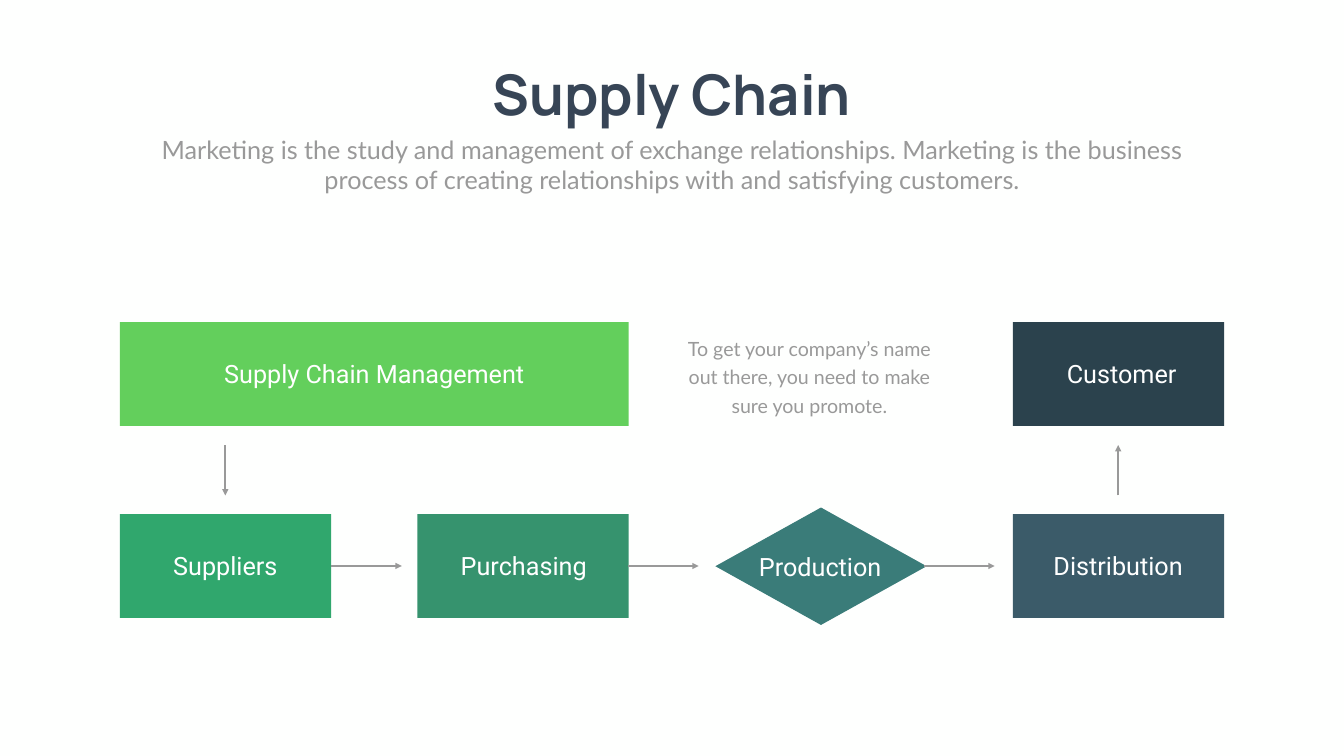
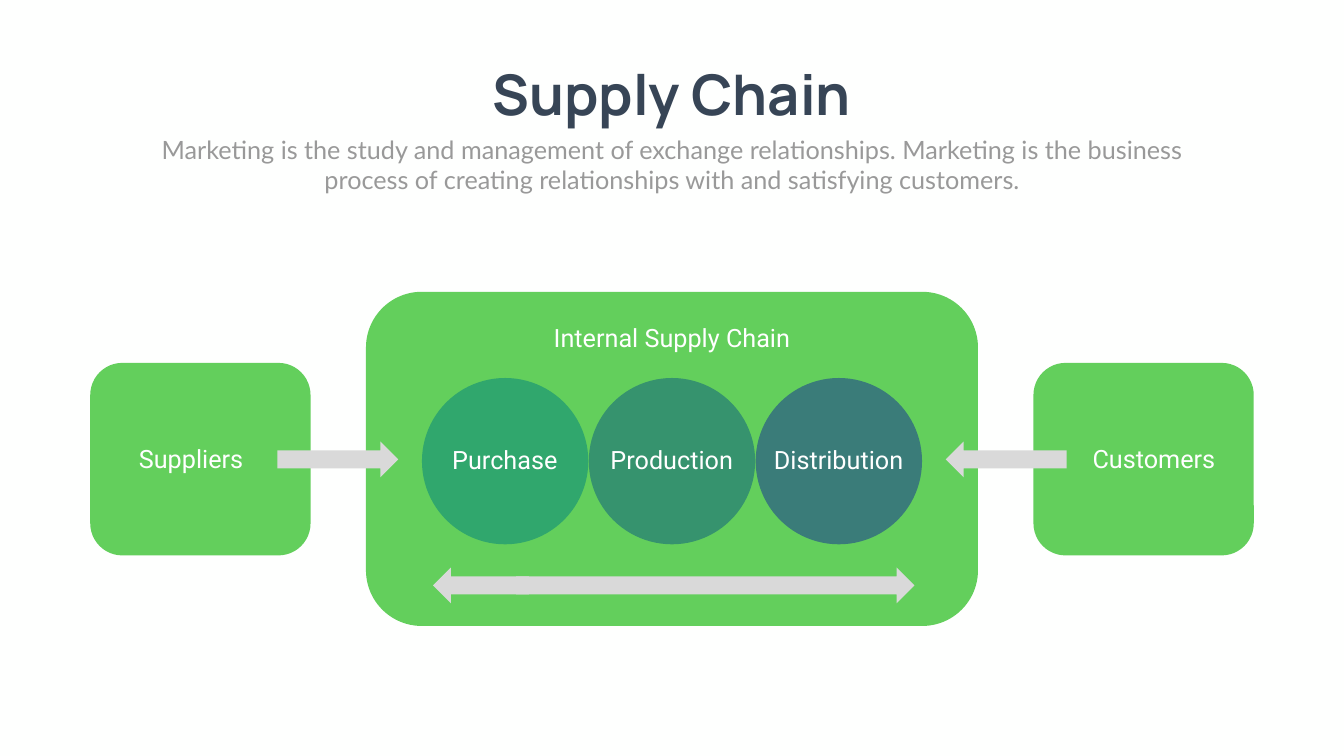
"""Build two slides that show a supply chain as a flow and as an internal chain."""
from collections import namedtuple

from lxml.etree import SubElement
from pptx import Presentation
from pptx.dml.color import RGBColor
from pptx.enum.shapes import MSO_CONNECTOR as Connector, MSO_SHAPE as Shape
from pptx.enum.text import MSO_ANCHOR as Anchor, PP_ALIGN as Align
from pptx.oxml.ns import qn
from pptx.util import Emu, Pt

PX = 9144
COLORS = {
    "paper": "FEFFFE",
    "title": "374556",
    "gray": "999999",
    "arrow": "D9D9D9",
    "white": "FFFFFF",
    "lime": "63CF5C",
    "green": "30A76D",
    "moss": "36936E",
    "teal": "3A7C79",
    "slate": "3B5B69",
    "night": "2B424D",
}
FONTS = {
    "title": {"name": "Manrope", "size": Pt(80), "bold": True},
    "intro": {"name": "Lato", "size": Pt(36)},
    "note": {"name": "Lato", "size": Pt(28)},
    "label": {"name": "Roboto", "size": Pt(36)},
}
FONT_COLORS = {"title": "title", "intro": "gray", "note": "gray", "label": "white"}
FRAME = {
    "vertical_anchor": Anchor.MIDDLE,
    "margin_left": Emu(10 * PX),
    "margin_right": Emu(10 * PX),
    "margin_top": Emu(5 * PX),
    "margin_bottom": Emu(5 * PX),
}
LABEL_HEIGHT = 71
INTRO = (
    "Marketing is the study and management of exchange relationships. "
    "Marketing is the business process of creating relationships with "
    "and satisfying customers."
)
NOTE = "To get your company’s name out there, you need to make sure you promote."


class Box(namedtuple("Box", "left top width height")):
    """A rectangle in px."""

    def inner(self, left, top, width, height):
        """Return a box placed relative to this one."""
        return Box(self.left + left, self.top + top, width, height)

    def label(self, width, dx=0, dy=0):
        """Return a one-line label box centred here, with an optional shift."""
        left = (self.width - width) // 2 + dx
        top = (self.height - LABEL_HEIGHT) // 2 + dy
        return self.inner(left, top, width, LABEL_HEIGHT)

    def emu(self):
        """Return the four lengths in EMU."""
        return [Emu(length * PX) for length in self]


def set_all(target, values):
    """Set each named attribute on the target."""
    for name, value in values.items():
        setattr(target, name, value)


def rgb(color):
    """Look up a colour by its name."""
    return RGBColor.from_string(COLORS[color])


def add_text(slide, box, text, style="label", wrap=True, spacing=None):
    """Add centred text in one of the shared styles."""
    frame = slide.shapes.add_textbox(*box.emu()).text_frame
    set_all(frame, {**FRAME, "word_wrap": wrap})
    paragraph = frame.paragraphs[0]
    set_all(paragraph, {"alignment": Align.CENTER, "line_spacing": spacing})
    run = paragraph.add_run()
    run.text = text
    set_all(run.font, FONTS[style])
    run.font.color.rgb = rgb(FONT_COLORS[style])


def add_block(parent, kind, box, color, rotation=0):
    """Add a flat shape without outline to a slide or group."""
    block = parent.shapes.add_shape(kind, *box.emu())
    block.shadow.inherit = False
    block.fill.solid()
    block.fill.fore_color.rgb = rgb(color)
    block.line.fill.background()
    block.rotation = rotation


def add_arrow(slide, box, start, end):
    """Add a thin arrow between two points of the box."""
    points = [Emu(length * PX) for x, y in (start, end)
              for length in (box.left + x, box.top + y)]
    arrow = slide.shapes.add_connector(Connector.STRAIGHT, *points)
    arrow.line.width = Pt(3)
    arrow.line.color.rgb = rgb("gray")
    properties = arrow.element.spPr
    SubElement(properties.find(qn("a:ln")), qn("a:tailEnd"), type="triangle")
    SubElement(properties, qn("a:effectLst"))


def header(slide, box):
    """Place the title and introduction."""
    add_text(slide, box.inner(645, 0, 791, 145), "Supply Chain", "title", wrap=False)
    add_text(slide, box.inner(0, 149, box.width, 131), INTRO, "intro")


def process_flow(slide, box):
    """Place the steps from management to customer, with their arrows."""
    step_width, step_height, rise = 419, 206, 13
    pitch = (box.width - step_width) / 3
    columns = [round(index * pitch) for index in range(4)]
    row = box.height - step_height
    middle = row + step_height // 2

    def step(column, top):
        return box.inner(columns[column], top, step_width, step_height)

    management = box.inner(0, 0, columns[1] + step_width, step_height)
    production = box.inner(columns[2], row - rise, step_width, step_height + 2 * rise + 1)
    steps = (
        ("Suppliers", Shape.RECTANGLE, step(0, row), "green", 340, 0),
        ("Purchasing", Shape.RECTANGLE, step(1, row), "moss", 340, 2),
        ("Production", Shape.DIAMOND, production, "teal", 340, -1),
        ("Distribution", Shape.RECTANGLE, step(3, row), "slate", 340, 0),
        ("Supply Chain Management", Shape.RECTANGLE, management, "lime", 801, 0),
        ("Customer", Shape.RECTANGLE, step(3, 0), "night", 340, 7),
    )
    for name, kind, place, color, width, shift in steps:
        add_block(slide, kind, place, color)
        add_text(slide, place.label(width, shift), name)

    for start in (419, 1008, 1595):
        add_arrow(slide, box, (start, middle), (start + 140, middle))
    upper, lower = step_height + 38, row - 37
    first, last = (columns[index] + step_width // 2 for index in (0, 3))
    add_arrow(slide, box, (first, upper), (first, lower))
    add_arrow(slide, box, (last, lower), (last, upper))
    add_text(slide, box.inner(1096, 15, 543, 177), NOTE, "note", spacing=Pt(40.8))


def internal_chain(slide, box):
    """Place the internal chain between suppliers and customers."""
    card_width, card_height, circle = 437, 382, 330
    internal = box.inner(547, 0, 1214, box.height)
    suppliers = box.inner(0, 141, card_width, card_height)
    customers = box.inner(box.width - card_width, 141, card_width, card_height)
    for card in (internal, suppliers, customers):
        add_block(slide, Shape.ROUNDED_RECTANGLE, card, "lime")

    stages = (("Purchase", "green", 233), ("Production", "moss", 269),
              ("Distribution", "teal", 283))
    circles = [internal.inner(111 + index * (circle + 1), 171, circle, circle)
               for index in range(len(stages))]
    stage_group = slide.shapes.add_group_shape()
    for place, (name, color, width) in zip(circles, stages):
        add_block(stage_group, Shape.OVAL, place, color)

    add_block(slide, Shape.RIGHT_ARROW, box.inner(371, 297, 240, 71), "arrow")
    add_block(slide, Shape.RIGHT_ARROW, box.inner(1697, 297, 240, 71), "arrow", 180)
    exchange = slide.shapes.add_group_shape()
    add_block(exchange, Shape.RIGHT_ARROW, internal.inner(133, 547, 190, 71), "arrow", 180)
    add_block(exchange, Shape.RIGHT_ARROW, internal.inner(298, 547, 790, 71), "arrow")

    labels = [
        ("Internal Supply Chain", internal.inner(357, 55, 500, LABEL_HEIGHT)),
        ("Suppliers", suppliers.label(232, -18)),
        ("Customers", customers.label(268, 21)),
    ]
    labels += [(name, place.label(width, dy=-3))
               for place, (name, color, width) in zip(circles, stages)]
    for name, place in labels:
        add_text(slide, place, name, wrap=False)


def main():
    """Build and save the slides."""
    deck = Presentation()
    set_all(deck, {"slide_width": Emu(2666 * PX), "slide_height": Emu(1500 * PX)})
    regions = (
        (process_flow, Box(238, 639, 2190, 587)),
        (internal_chain, Box(179, 579, 2308, 663)),
    )
    for region, box in regions:
        slide = deck.slides.add_slide(deck.slide_layouts[6])
        slide.background.fill.solid()
        slide.background.fill.fore_color.rgb = rgb("paper")
        header(slide, Box(292, 112, 2082, 280))
        region(slide, box)
    deck.save("out.pptx")


if __name__ == "__main__":
    main()
